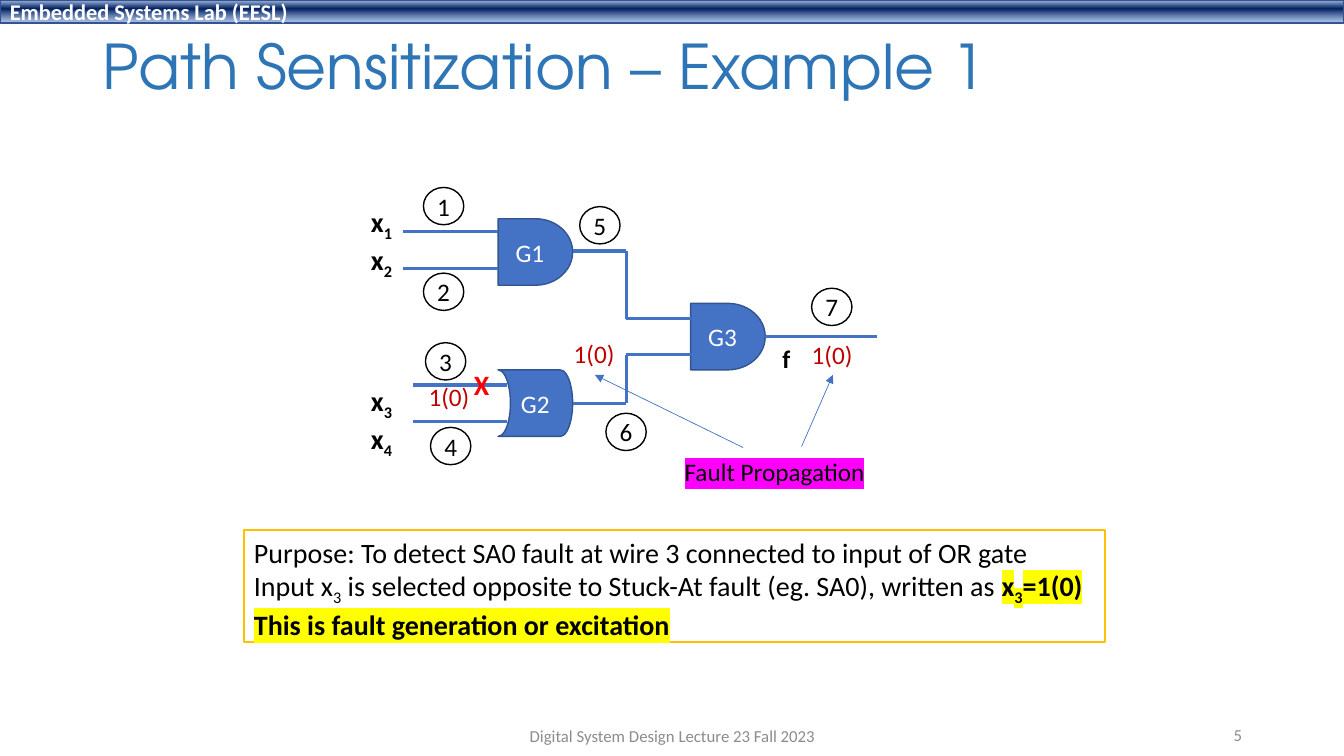
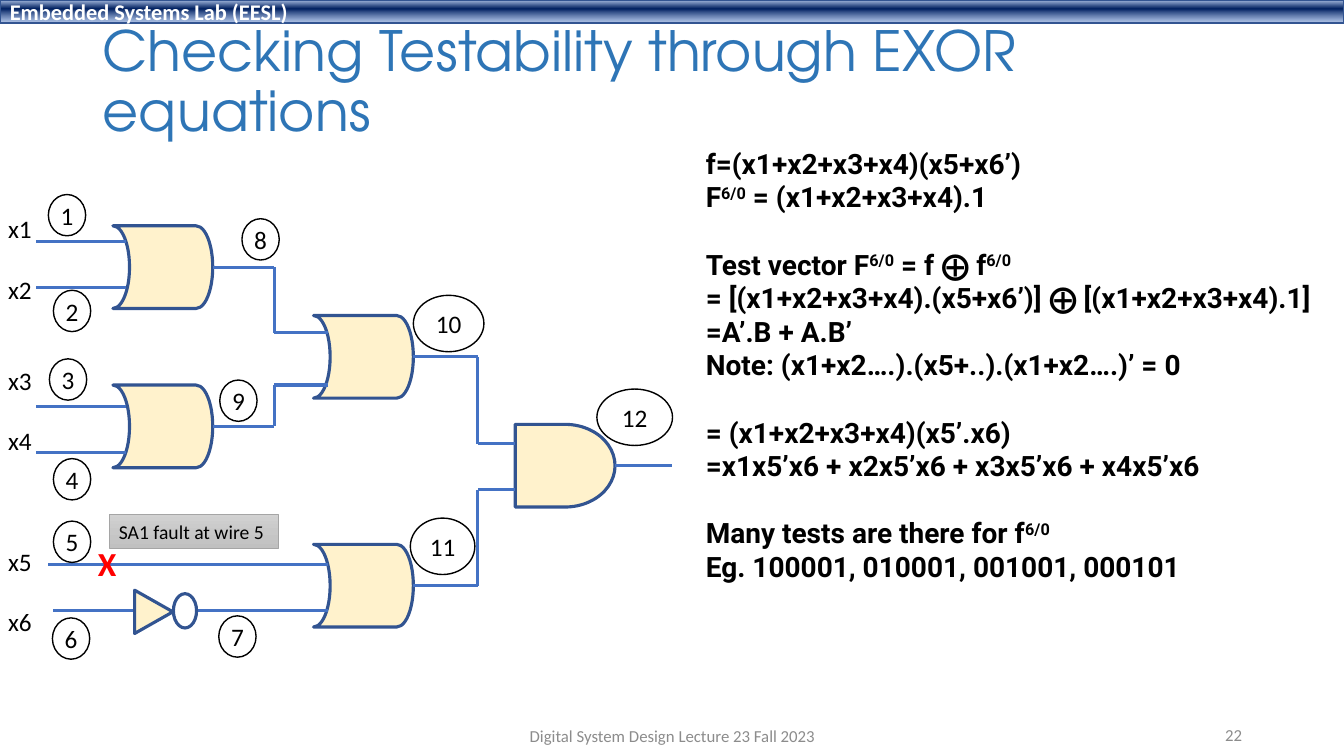
from itertools import pairwise

from lxml.etree import SubElement
from pptx import Presentation
from pptx.dml.color import RGBColor
from pptx.enum.shapes import MSO_CONNECTOR, MSO_SHAPE
from pptx.enum.text import MSO_ANCHOR, MSO_AUTO_SIZE, PP_ALIGN
from pptx.oxml.ns import qn
from pptx.util import Inches, Pt

COLORS = {
    "title": "2E75B6", "wire": "4472C4", "outline": "325491", "gate": "FFF2CC",
    "black": "000000", "white": "FFFFFF", "footer": "8C8C8C",
    "fault": "FF0000", "value": "C00000", "frame": "FFC000",
    "generation": "FFFF00", "propagation": "FF00FF", "note": "A5A5A5",
}
BAND_STOPS = [(2, "ABC0E4", 100), (38, "002060", 100), (93, "7E9ED6", 64)]
NOTE_STOPS = [(0, "D2D2D2", 100), (50, "C8C8C8", 100), (100, "C0C0C0", 100)]
COLUMNS, ROWS = 133.3, 75
TITLE_ONLY, TITLE_AND_BODY = 5, 1
OR_GATE, AND_GATE = MSO_SHAPE.FLOWCHART_STORED_DATA, MSO_SHAPE.FLOWCHART_DELAY


def rgb(name):
    return RGBColor.from_string(COLORS[name])


class Deck:
    def __init__(self):
        self.show = Presentation()
        self.show.slide_width, self.show.slide_height = Inches(13.33), Inches(7.5)
        self.slide = None

    def x(self, column):
        return round(self.show.slide_width * column / COLUMNS)

    def y(self, row):
        return round(self.show.slide_height * row / ROWS)

    def area(self, column, row, columns, rows):
        return self.x(column), self.y(row), self.x(columns), self.y(rows)

    def start(self, layout, title, number, place, size):
        self.slide = self.show.slides.add_slide(self.show.slide_layouts[layout])
        self.box(MSO_SHAPE.RECTANGLE, (0, 0, 133.3, 2.3), BAND_STOPS, text="Embedded Systems Lab (EESL)",
                 size=16, color="white", bold=True, align=PP_ALIGN.LEFT)
        heading = self.slide.shapes.title
        self.move(heading, place)
        self.typeset(heading, [title], size, "title", font="TeX Gyre Adventor", spacing=0.9)
        self.label((44.2, 71, 45, 4), "Digital System Design Lecture 23 Fall 2023", 12, "footer",
                   align=PP_ALIGN.CENTER, anchor=MSO_ANCHOR.MIDDLE)
        self.label((94.2, 70.9, 29, 4), number, 12, "footer",
                   align=PP_ALIGN.RIGHT, anchor=MSO_ANCHOR.MIDDLE)

    def move(self, shape, place):
        shape.left, shape.top, shape.width, shape.height = self.area(*place)

    def typeset(self, shape, lines, size=18, color="black", font="Calibri", bold=False,
                align=PP_ALIGN.LEFT, anchor=MSO_ANCHOR.MIDDLE, inset=True, spacing=1.0,
                shift=0, mark=None, mark_bold=False, gaps=()):
        frame = shape.text_frame
        frame.word_wrap, frame.auto_size = True, MSO_AUTO_SIZE.NONE
        frame.vertical_anchor = anchor
        if not inset:
            frame.margin_left = frame.margin_right = frame.margin_top = frame.margin_bottom = 0
        for index, line in enumerate(lines):
            paragraph = frame.add_paragraph() if index else frame.paragraphs[0]
            paragraph.alignment, paragraph.line_spacing = align, spacing
            paragraph.space_before = Pt(size * 1.2 if index in gaps else 0)
            if shape.is_placeholder:
                properties = paragraph._p.get_or_add_pPr()
                properties.set("marL", "0")
                properties.set("indent", "0")
                SubElement(properties, qn("a:buNone"))
            style = paragraph.font
            style.name, style.size, style.bold = font, Pt(size), bold
            style.color.rgb = rgb(color)
            self.add_runs(paragraph, line, shift, mark, mark_bold)

    def add_runs(self, paragraph, line, shift, mark, mark_bold):
        for marked, part in enumerate(line.split("*")):
            for shifted, words in enumerate(part.split("|")):
                if not words:
                    continue
                run = paragraph.add_run()
                run.text = words
                properties = run._r.get_or_add_rPr()
                if shifted % 2:
                    properties.set("baseline", str(shift * 1000))
                if marked % 2:
                    if mark_bold:
                        run.font.bold = True
                    highlight = SubElement(properties, qn("a:highlight"))
                    SubElement(highlight, qn("a:srgbClr"), val=COLORS[mark])

    def shade(self, shape, stops):
        shape.fill.gradient()
        shape.fill.gradient_angle = 270
        stop_list = shape._element.spPr.find(qn("a:gradFill")).find(qn("a:gsLst"))
        for old in list(stop_list):
            stop_list.remove(old)
        for position, value, opacity in stops:
            stop = SubElement(stop_list, qn("a:gs"), pos=str(position * 1000))
            tint = SubElement(stop, qn("a:srgbClr"), val=value)
            if opacity < 100:
                SubElement(tint, qn("a:alpha"), val=str(opacity * 1000))

    def box(self, kind, place, fill=None, outline="outline", weight=1, text=None, **style):
        shape = self.slide.shapes.add_shape(kind, *self.area(*place))
        shape.shadow.inherit = False
        if isinstance(fill, list):
            self.shade(shape, fill)
        elif fill:
            shape.fill.solid()
            shape.fill.fore_color.rgb = rgb(fill)
        else:
            shape.fill.background()
        shape.line.color.rgb, shape.line.width = rgb(outline), Pt(weight)
        if text:
            self.typeset(shape, text if isinstance(text, list) else [text], **style)
        return shape

    def gate(self, kind, place, fill, weight, name=None):
        shape = self.box(kind, place, fill, weight=weight, text=name,
                         color="white", align=PP_ALIGN.CENTER)
        if kind == OR_GATE:
            shape._element.spPr.find(qn("a:xfrm")).set("flipH", "1")

    def node(self, number, column, row, columns, rows):
        self.box(MSO_SHAPE.OVAL, (column, row, columns, rows), outline="black",
                 text=str(number), align=PP_ALIGN.CENTER, inset=False)

    def label(self, place, text, size=18, color="black", anchor=MSO_ANCHOR.TOP, **style):
        shape = self.slide.shapes.add_textbox(*self.area(*place))
        self.typeset(shape, [text], size, color, anchor=anchor, inset=False, **style)

    def body(self, place, lines, **style):
        shape = self.slide.placeholders[1]
        self.move(shape, place)
        self.typeset(shape, lines, anchor=MSO_ANCHOR.TOP, **style)

    def wire(self, *points, weight=2.25, arrow=False):
        for (x1, y1), (x2, y2) in pairwise(points):
            segment = self.slide.shapes.add_connector(
                MSO_CONNECTOR.STRAIGHT, self.x(x1), self.y(y1), self.x(x2), self.y(y2))
            segment.line.color.rgb, segment.line.width = rgb("wire"), Pt(weight)
            if arrow:
                SubElement(segment.line._get_or_add_ln(), qn("a:tailEnd"), type="triangle")
            SubElement(segment._element.spPr, qn("a:effectLst"))


def path_sensitization(deck):
    deck.start(TITLE_ONLY, "Path Sensitization – Example 1", "5", (9.2, 2.2, 115, 9.4), 44)
    for kind, name, column, row in [(AND_GATE, "G1", 49.4, 21.7), (AND_GATE, "G3", 68.5, 30.1),
                                    (OR_GATE, "G2", 49.4, 36.7)]:
        deck.gate(kind, (column, row, 7.4, 6.6), "wire", 1, name)
    for start, end, row in [(40, 49.4, 23), (40, 49.4, 26.6), (41, 50.3, 38.2),
                            (41, 50.3, 41.8), (75.9, 87, 33.4)]:
        deck.wire((start, row), (end, row))
    for output, entry in [(24.9, 31.6), (40, 35.2)]:
        deck.wire((56.8, output), (62.1, output), (62.1, entry), (68.5, entry))
    for number, (column, row) in enumerate([(42, 18.6), (42, 27.1), (42.2, 34), (42.7, 42.4),
                                            (57.5, 20.5), (60.1, 41), (80.5, 28.6)], 1):
        deck.node(number, column, row, 4, 3.7)
    for number, row in enumerate([20.3, 24.1, 38, 41.8], 1):
        deck.label((36.8, row, 3, 3.4), f"x|{number}|", 20, bold=True, shift=-25)
    for column, row in [(42.5, 37.8), (56.9, 33.6), (80.5, 33.7)]:
        deck.label((column, row, 4.5, 3), "1(0)", color="value")
    deck.label((47, 36.5, 2, 3.4), "X", 20, "fault", bold=True)
    deck.label((77.6, 34.1, 1.5, 3), "f", bold=True)
    deck.label((67.9, 45.3, 19, 3), "*Fault Propagation*", mark="propagation")
    deck.wire((73.7, 44.4), (59, 37.2), weight=0.5, arrow=True)
    deck.wire((79.5, 44.3), (82.6, 37.2), weight=0.5, arrow=True)
    deck.box(MSO_SHAPE.RECTANGLE, (24.2, 52.6, 85.4, 11.1), "white", "frame", text=[
        "Purpose: To detect SA0 fault at wire 3 connected to input of OR gate",
        "Input x|3| is selected opposite to Stuck-At fault (eg. SA0), written as *x|3|=1(0)*",
        "*This is fault generation or excitation*",
    ], size=20, anchor=MSO_ANCHOR.TOP, shift=-25, mark="generation", mark_bold=True)


def exor_testability(deck):
    deck.start(TITLE_AND_BODY, "Checking Testability through EXOR equations", "22",
               (9.2, 1.9, 115, 12.8), 39.6)
    for kind, column, row in [(OR_GATE, 11.2, 22.4), (OR_GATE, 11.2, 38.2), (OR_GATE, 31.1, 31.3),
                              (OR_GATE, 31.1, 54), (AND_GATE, 51.1, 42.1)]:
        deck.gate(kind, (column, row, 9.9, 8.2), "gate", 2.25)
    for start, end, row in [(3.6, 12.5, 24), (3.6, 12.5, 28.5), (3.6, 12.5, 40.3),
                            (3.6, 12.5, 44.9), (4.8, 32.5, 56), (5.3, 13.4, 60.6),
                            (19.4, 32.5, 60.6), (61, 66.7, 46.2)]:
        deck.wire((start, row), (end, row))
    for start, bend, end, output, entry in [
            (21.1, 27.2, 32.5, 26.5, 33), (21.1, 27.2, 32.5, 42.3, 38.2),
            (41, 47.4, 51.1, 35.4, 44), (41, 47.4, 51.1, 58.1, 48.6)]:
        deck.wire((start, output), (bend, output), (bend, entry), (end, entry))
    inverter = deck.box(MSO_SHAPE.ISOSCELES_TRIANGLE, (13.1, 58.8, 4.3, 3.8), "gate", weight=2.25)
    inverter.rotation = 90
    deck.box(MSO_SHAPE.OVAL, (17.2, 58.9, 2.3, 3.4), weight=2.25)
    for number, (column, row) in enumerate([
            (4.8, 19.3), (5.3, 28.8), (4.9, 35.6), (5.3, 45.5), (5.3, 51.7),
            (5.2, 61.3), (21.7, 61.1), (24, 21.7), (21.8, 37.7)], 1):
        deck.node(number, column, row, 3.7, 4.1)
    for number, column, row, columns in [(10, 41, 29.3, 7), (11, 40.7, 51.4, 6.4),
                                         (12, 59.2, 38.6, 7.5)]:
        deck.node(number, column, row, columns, 5.6)
    for number, line in enumerate([0, 2, 5, 7, 11, 13], 1):
        deck.label((0.8, 21.2 + 3 * line, 3, 3), f"x{number}")
    deck.label((9.7, 53.9, 2.5, 4), "X", 24, "fault", bold=True)
    deck.box(MSO_SHAPE.RECTANGLE, (10.8, 51, 16.8, 3.4), NOTE_STOPS, "note", 0.5,
             "SA1 fault at wire 5", size=14)
    deck.body((69, 14, 63.7, 44.8), [
        "f=(x1+x2+x3+x4)(x5+x6’)",
        "F|6/0| = (x1+x2+x3+x4).1",
        "Test vector F|6/0| = f ⨁ f|6/0|",
        "= [(x1+x2+x3+x4).(x5+x6’)] ⨁ [(x1+x2+x3+x4).1]",
        "=A’.B + A.B’",
        "Note: (x1+x2….).(x5+..).(x1+x2….)’ = 0",
        "= (x1+x2+x3+x4)(x5’.x6)",
        "=x1x5’x6 + x2x5’x6 + x3x5’x6 + x4x5’x6",
        "Many tests are there for f|6/0|",
        "Eg. 100001, 010001, 001001, 000101",
    ], size=20, font="Roboto", bold=True, shift=30, gaps=(2, 6, 8))


def main():
    deck = Deck()
    path_sensitization(deck)
    exor_testability(deck)
    deck.show.save("out.pptx")


if __name__ == "__main__":
    main()
